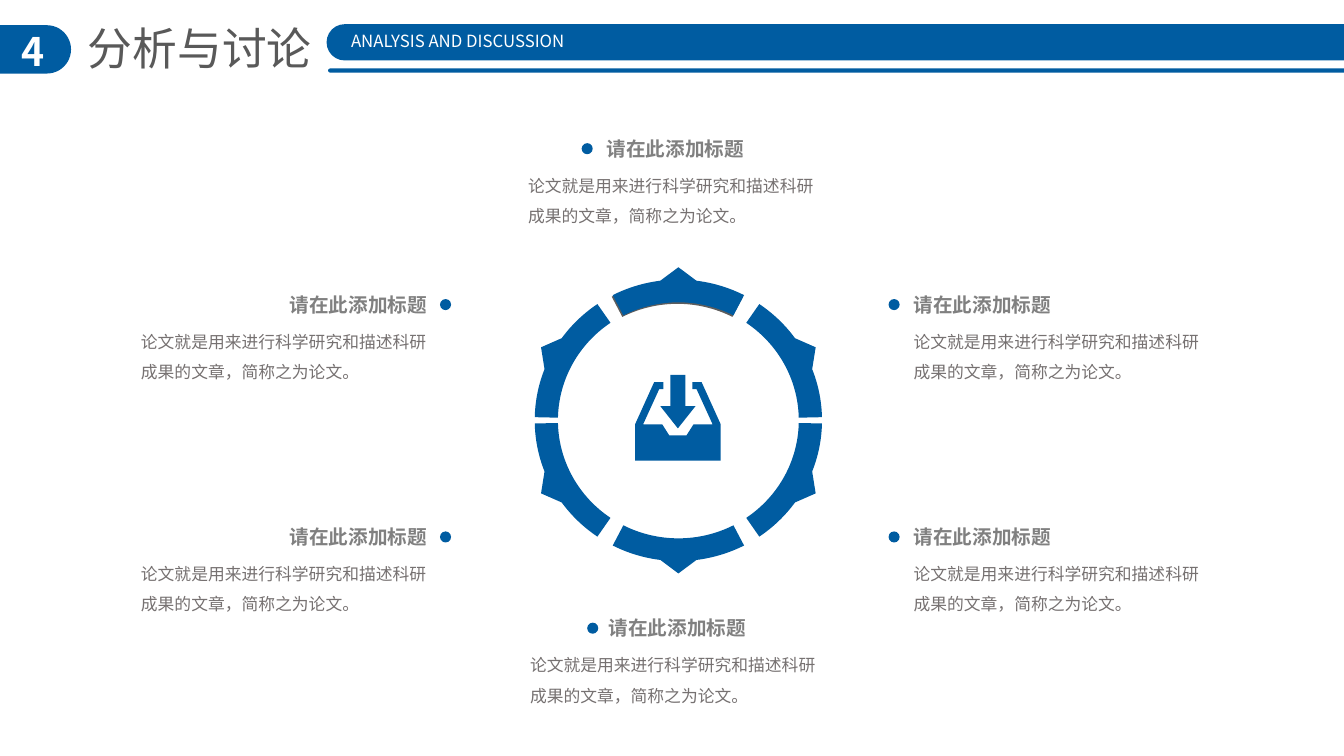
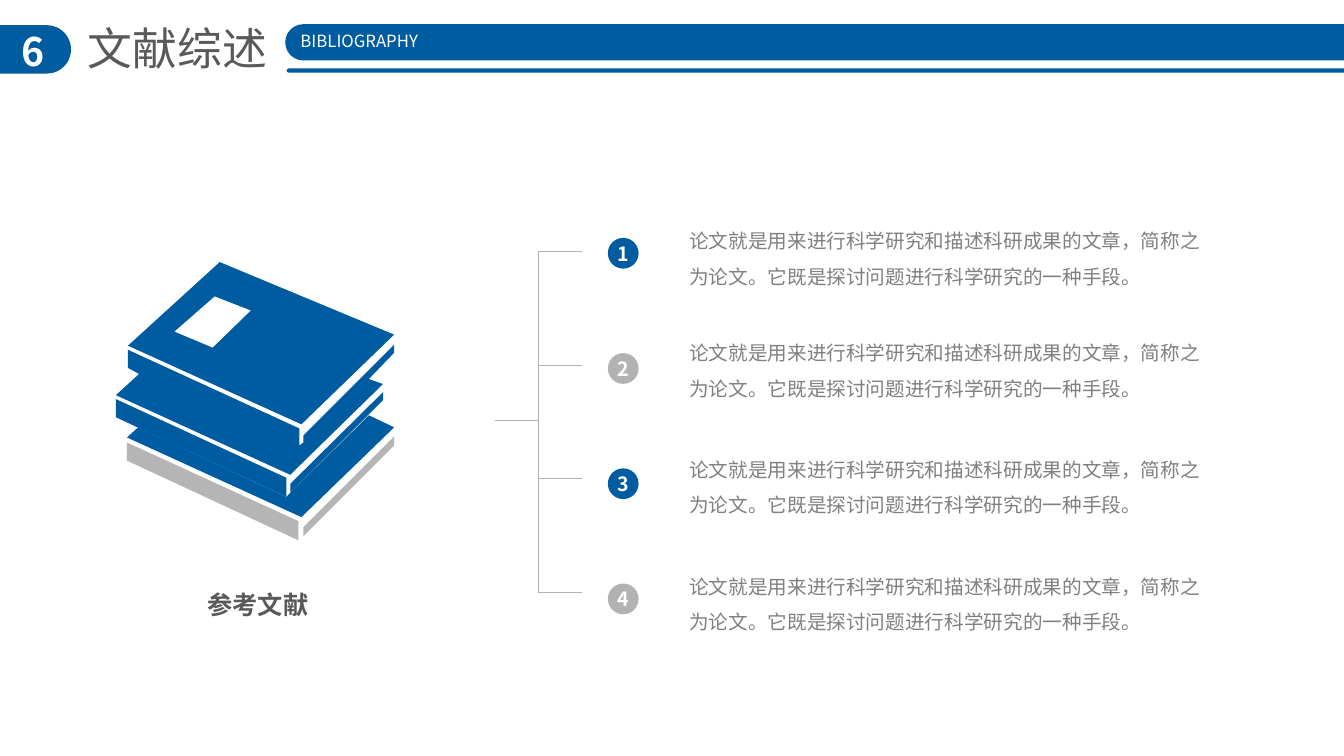
from math import cos, radians, sin, tan

from lxml import etree
from pptx import Presentation
from pptx.dml.color import RGBColor
from pptx.enum.shapes import MSO_CONNECTOR, MSO_SHAPE
from pptx.enum.text import MSO_ANCHOR, MSO_AUTO_SIZE, PP_ALIGN
from pptx.oxml.ns import qn
from pptx.util import Inches, Pt

CELL = Inches(0.1)
COLUMNS, ROWS = 133.33, 75
FONT = "Noto Sans CJK SC"
BLUE, GREY, SPINE_GREY, SHADE = "005CA1", "B2B2B2", "B5B5B6", "5D5D5D"
WHITE, DARK, MID, BODY = "FFFFFF", "595959", "808080", "767171"
LEFT, CENTER = PP_ALIGN.LEFT, PP_ALIGN.CENTER
TOP, MIDDLE = MSO_ANCHOR.TOP, MSO_ANCHOR.MIDDLE
NO_FIT = MSO_AUTO_SIZE.NONE
PILL, DISC, ARROW = MSO_SHAPE.ROUNDED_RECTANGLE, MSO_SHAPE.OVAL, MSO_SHAPE.DOWN_ARROW
STRAIGHT = MSO_CONNECTOR.STRAIGHT
INSETS = (1, 0.5, 1, 0.5)

HEADING = "请在此添加标题"
SUMMARY = "论文就是用来进行科学研究和描述科研成果的文章，简称之为论文。"
REFERENCE = SUMMARY + "它既是探讨问题进行科学研究的一种手段。"

CAPTION_SIDES = {
    "top": (7.8, 6.3), "bottom": (7.8, 6.65),
    "left": (14.75, 30.65), "right": (0, -1.5),
}
CAPTIONS = [
    (51.4, 13.08, "top"), (89.65, 28.55, "right"), (89.65, 51.6, "right"),
    (51.6, 60.65, "bottom"), (13, 51.6, "left"), (13, 28.55, "left"),
]
RING_ANGLES = [0, 61.5, 118.5, 180, 241.5, 298.5]

TRAY = [
    (6.6, 0.7), (5.7, 0.7), (5.7, 1.4), (6.1, 1.4), (7.7, 4.9), (5.8, 4.9),
    (5.1, 6), (3.4, 6), (2.7, 4.9), (0.8, 4.9), (2.4, 1.4), (2.8, 1.4),
    (2.8, 0.7), (1.9, 0.7), (0, 4.9), (0, 8.5), (8.5, 8.5), (8.5, 4.9),
]
LOWER_SPINE = [(1.1, 19.7), (18.1, 27.6), (18.1, 25.7), (1.1, 17.9)]
LOWER_EDGE = [(18.6, 27.2), (27.6, 18.2), (27.6, 17.3), (18.6, 26.3)]
LOWER_COVER = [
    (25.1, 15.2), (17.3, 22.9), (16.9, 23.3), (2.2, 16.4),
    (1.1, 17.4), (18.4, 25.3), (27.6, 16.4),
]
MIDDLE_SPINE = [(0, 13.6), (0, 15.4), (16.9, 23.3), (16.9, 21.4)]
MIDDLE_EDGE = [(17.3, 22.9), (26.5, 13.7), (26.5, 12.9), (17.3, 22)]
MIDDLE_COVER = [
    (17.3, 21.1), (26.5, 12.1), (25.1, 11.6), (27.6, 9), (27.6, 8.2),
    (18.6, 17.2), (18.6, 17.9), (18.2, 18.2), (18.2, 16.5), (1.2, 8.7),
    (1.2, 10.5), (2.3, 11.1), (0, 13.2),
]
TOP_COVER = [(27.6, 7.2), (10.3, 0), (1.2, 8.3), (18.4, 16.1)]
TOP_LABEL = [(9.6, 8.5), (5.8, 6.9), (9.8, 3.4), (13.4, 4.8)]
BOOKS = [
    (SPINE_GREY, [LOWER_SPINE]), (SPINE_GREY, [LOWER_EDGE]),
    (BLUE, [MIDDLE_SPINE]), (BLUE, [MIDDLE_COVER]),
    (BLUE, [TOP_COVER, TOP_LABEL]), (BLUE, [MIDDLE_EDGE]), (BLUE, [LOWER_COVER]),
]


def cells(*lengths):
    """Turn grid lengths into slide units."""
    return [round(length * CELL) for length in lengths]


def color(value):
    """Turn a hex string into a colour."""
    return RGBColor.from_string(value)


def paint(shape, fill):
    """Give a shape a flat fill with no line or shadow."""
    shape.shadow.inherit = False
    shape.fill.solid()
    shape.fill.fore_color.rgb = color(fill)
    shape.line.fill.background()
    return shape


def write(shape, text, size, ink, bold=False, align=LEFT, anchor=TOP,
          insets=INSETS, wrap=False, spacing=1):
    """Write one formatted paragraph into a shape."""
    frame = shape.text_frame
    frame.auto_size = NO_FIT
    frame.word_wrap = wrap
    frame.vertical_anchor = anchor
    (frame.margin_left, frame.margin_top,
     frame.margin_right, frame.margin_bottom) = cells(*insets)
    para = frame.paragraphs[0]
    para.alignment = align
    para.line_spacing = spacing
    span = para.add_run()
    span.text = text
    span.font.size = Pt(size)
    span.font.bold = bold
    span.font.color.rgb = color(ink)
    span.font.name = FONT
    east_asian = etree.SubElement(span.font._element, qn("a:ea"))
    east_asian.set("typeface", FONT)


def add_text(page, box, text, size, ink, **style):
    """Add a text box."""
    write(page.shapes.add_textbox(*cells(*box)), text, size, ink, **style)


def add_preset(page, kind, box, fill, *adjustments):
    """Add a flat preset shape."""
    shape = paint(page.shapes.add_shape(kind, *cells(*box)), fill)
    for index, value in enumerate(adjustments):
        shape.adjustments[index] = value
    return shape


def add_outline(page, origin, contours, fill, curves=()):
    """Add a closed shape, bending the three segments from each curve index."""
    placed = [[cells(origin[0] + x, origin[1] + y) for x, y in contour]
              for contour in contours]
    builder = page.shapes.build_freeform(*placed[0][0])
    builder.add_line_segments(placed[0][1:], close=True)
    for contour in placed[1:]:
        builder.move_to(*contour[0])
        builder.add_line_segments(contour[1:], close=True)
    shape = paint(builder.convert_to_shape(), fill)
    segments = list(shape._element.iter(qn("a:lnTo")))
    for index in curves:
        bend = etree.Element(qn("a:cubicBezTo"))
        segments[index].addprevious(bend)
        for segment in segments[index:index + 3]:
            bend.append(segment[0])
            segment.getparent().remove(segment)


def add_rule(page, start, end):
    """Add a thin grey line."""
    rule = page.shapes.add_connector(STRAIGHT, *cells(*start, *end))
    rule.line.color.rgb = color(GREY)
    rule.line.width = Pt(0.5)
    etree.SubElement(rule._element.spPr, qn("a:effectLst"))


def add_page(deck, number, title, subtitle, band_left, indent):
    """Add a slide with the numbered header."""
    page = deck.slides.add_slide(deck.slide_layouts[5])
    heading = page.shapes.title
    heading.left, heading.top, heading.width, heading.height = cells(
        7.7, 1.6, band_left - 7.9, 6.4)
    write(heading, title, 32, DARK)
    tab = add_preset(page, PILL, (-2.8, 2.5, 9.85, 4.8), BLUE, 0.5)
    write(tab, number, 28, WHITE, bold=True, align=CENTER, anchor=MIDDLE,
          insets=(2.3, 0.3, 0, 0))
    band = add_preset(page, PILL, (band_left, 2.4, 110.3, 3.6), BLUE, 0.5)
    write(band, subtitle, 12, WHITE, anchor=MIDDLE, insets=(indent, 0, 0, 0.3))
    add_preset(page, PILL, (band_left + 0.15, 6.8, 110.3, 0.4), BLUE, 0.5)
    return page


def ring_segment(angle):
    """Return the outline of a pointed ring segment around its centre."""
    def place(radius, turn, offset=0):
        theta = radians(angle + turn)
        x = radius * sin(theta) + offset * cos(theta)
        y = offset * sin(theta) - radius * cos(theta)
        return x, 0.98 * y

    def arc(radius, start, end):
        reach = radius * 4 / 3 * tan(radians(end - start) / 4)
        return [place(radius, start), place(radius, start, reach),
                place(radius, end, -reach), place(radius, end)]

    half, tip = 27.2, 7.2
    return (arc(11.95, half, -half) + arc(14.25, -half, -tip)
            + [place(15.5, 0)] + arc(14.25, tip, half))


def add_ring(page, center):
    """Draw the six-part ring with the inbox icon inside."""
    x, y = center
    curves = (0, 4, 9)
    add_outline(page, (x - 0.1, y + 0.15), [ring_segment(0)], SHADE, curves)
    for angle in RING_ANGLES:
        add_outline(page, center, [ring_segment(angle)], BLUE, curves)
    left, top = x - 4.3, y - 4.5
    add_preset(page, ARROW, (left + 2.5, top, 3.5, 5.3), BLUE, 0.43, 0.63)
    add_outline(page, (left, top), [TRAY], BLUE)


def add_caption(page, left, top, side):
    """Add a dotted heading over its summary."""
    heading_shift, dot_shift = CAPTION_SIDES[side]
    add_text(page, (left + heading_shift, top, 15.8, 3.4), HEADING, 14, MID, bold=True)
    add_text(page, (left, top + 2.85, 31.3, 6.7), SUMMARY, 12, BODY,
             wrap=True, spacing=1.5)
    add_preset(page, DISC, (left + dot_shift, top + 1.12, 1.1, 1.1), BLUE)


def add_books(page, left, top):
    """Draw the stack of books and its label."""
    for fill, contours in BOOKS:
        add_outline(page, (left, top), contours, fill)
    add_text(page, (left + 8.1, top + 32, 12.1, 4), "参考文献", 18, DARK, bold=True)


def add_bracket(page, left, top, pitch, count):
    """Draw a bracket with one branch for each list item."""
    arm, bottom = 4.3, top + pitch * (count - 1)
    stem = left + arm
    for index in range(count):
        y = top + pitch * index
        add_rule(page, (stem, y), (stem + arm, y))
    add_rule(page, (stem, top), (stem, bottom))
    center = (top + bottom) / 2 - 0.15
    add_rule(page, (left, center), (stem, center))


def add_references(page, left, top, text_tops):
    """Add the numbered list."""
    for index, text_top in enumerate(text_tops):
        fill = (BLUE, GREY)[index % 2]
        disc = add_preset(page, DISC, (left, top + 11.43 * index, 3.05, 3.05), fill)
        write(disc, str(index + 1), 14, WHITE, bold=True, align=CENTER,
              anchor=MIDDLE, insets=(0, 0, 0, 0))
        add_text(page, (left + 7.1, text_top, 54.4, 8.1), REFERENCE, 14, MID,
                 wrap=True, spacing=1.5)


def build_discussion(deck):
    """Build the ring slide."""
    page = add_page(deck, "4", "分析与讨论", "ANALYSIS AND DISCUSSION", 32.4, 1.9)
    add_ring(page, (67.3, 41.7))
    for caption in CAPTIONS:
        add_caption(page, *caption)


def build_bibliography(deck):
    """Build the reference list slide."""
    page = add_page(deck, "6", "文献综述", "BIBLIOGRAPHY", 28.3, 1)
    add_references(page, 60.3, 23.6, [21.1, 32.2, 43.78, 55.38])
    add_bracket(page, 49.1, 24.9, 11.3, 4)
    add_books(page, 11.5, 26)


def main():
    """Build and save the deck."""
    deck = Presentation()
    deck.slide_width, deck.slide_height = cells(COLUMNS, ROWS)
    build_discussion(deck)
    build_bibliography(deck)
    deck.save("out.pptx")


if __name__ == "__main__":
    main()
